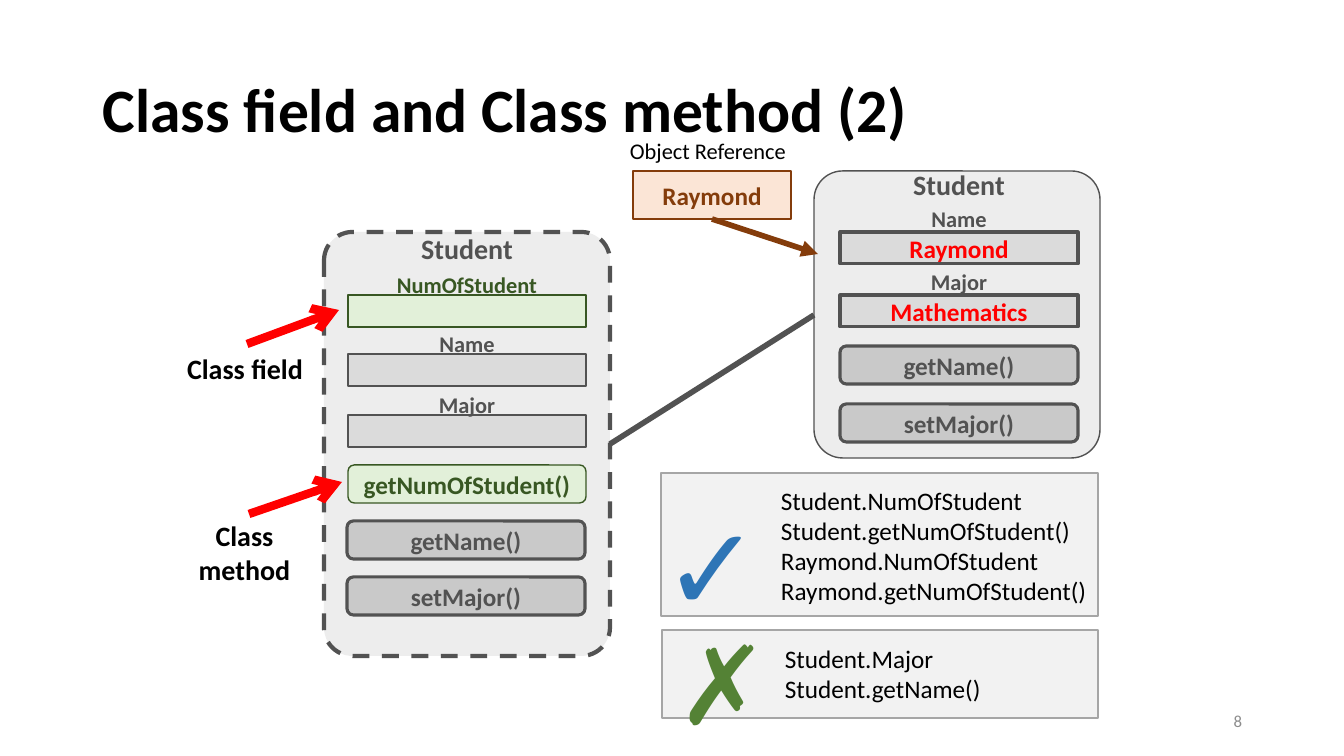
"""Build the slide on class fields and class methods."""
from lxml.etree import SubElement
from pptx import Presentation
from pptx.dml.color import RGBColor
from pptx.enum.dml import MSO_LINE
from pptx.enum.shapes import MSO_CONNECTOR, MSO_SHAPE
from pptx.enum.text import MSO_ANCHOR, PP_ALIGN
from pptx.oxml.ns import qn
from pptx.util import Pt

PIXEL = 914400 / 100.8
BLACK = RGBColor(0x00, 0x00, 0x00)
RED = RGBColor(0xFF, 0x00, 0x00)
DARK_GREY = RGBColor(0x52, 0x52, 0x52)
NUMBER_GREY = RGBColor(0x8C, 0x8C, 0x8C)
EDGE_GREY = RGBColor(0xA6, 0xA6, 0xA6)
METHOD_GREY = RGBColor(0xC9, 0xC9, 0xC9)
FIELD_GREY = RGBColor(0xDB, 0xDB, 0xDB)
CARD_GREY = RGBColor(0xED, 0xED, 0xED)
PANEL_GREY = RGBColor(0xF2, 0xF2, 0xF2)
DARK_GREEN = RGBColor(0x38, 0x57, 0x23)
PALE_GREEN = RGBColor(0xE2, 0xF0, 0xD9)
CROSS_GREEN = RGBColor(0x54, 0x82, 0x35)
TICK_BLUE = RGBColor(0x2E, 0x75, 0xB6)
BROWN = RGBColor(0x84, 0x3C, 0x0B)
PEACH = RGBColor(0xFB, 0xE5, 0xD6)
RECT, ROUND = MSO_SHAPE.RECTANGLE, MSO_SHAPE.ROUNDED_RECTANGLE
LEFT, CENTER, RIGHT = PP_ALIGN.LEFT, PP_ALIGN.CENTER, PP_ALIGN.RIGHT
TOP, MIDDLE = MSO_ANCHOR.TOP, MSO_ANCHOR.MIDDLE

deck = Presentation()
deck.slide_width, deck.slide_height = round(1344 * PIXEL), round(756 * PIXEL)
page = deck.slides.add_slide(deck.slide_layouts[6])


def add_box(kind, area, fill, edge, weight):
    """Add a filled and outlined preset shape."""
    box = page.shapes.add_shape(kind, *[round(side * PIXEL) for side in area])
    box.shadow.inherit = False
    box.fill.solid()
    box.fill.fore_color.rgb = fill
    box.line.color.rgb = edge
    box.line.width = Pt(weight)
    return box


def write(text, size, color, area=None, box=None, bold=True, align=CENTER, anchor=TOP, font="Calibri"):
    """Write into the given shape, or into a new text box over the area."""
    box = box or page.shapes.add_textbox(*[round(side * PIXEL) for side in area])
    frame = box.text_frame
    frame.word_wrap = True
    frame.vertical_anchor = anchor
    frame.text = text
    for para in frame.paragraphs:
        para.alignment = align
        for span in para.runs:
            span.font.name, span.font.size, span.font.bold = font, Pt(size), bold
            span.font.color.rgb = color
    return box


title = write("Class field and Class method (2)", 44, BLACK, (93, 40, 1159, 146), align=LEFT, anchor=MIDDLE)
title.text_frame.paragraphs[0].line_spacing = 0.9

class_card = add_box(ROUND, (324, 232, 286, 424), CARD_GREY, DARK_GREY, 3)
class_card.line.dash_style = MSO_LINE.DASH
object_card = add_box(ROUND, (814, 171, 286, 287), CARD_GREY, DARK_GREY, 1)
for card, middle, top in ((class_card, 467, 227), (object_card, 959, 163)):
    card.adjustments[0] = 0.1
    write("Student", 20, DARK_GREY, (middle - 79, top, 158, 44))

fields = [
    ("NumOfStudent", "", 467, 295, 29, PALE_GREEN, DARK_GREEN, 1),
    ("Name", "", 467, 354, 29, FIELD_GREY, DARK_GREY, 1),
    ("Major", "", 467, 415, 29, FIELD_GREY, DARK_GREY, 1),
    ("Name", "Raymond", 959, 232, 32, FIELD_GREY, DARK_GREY, 2.25),
    ("Major", "Mathematics", 959, 295, 32, FIELD_GREY, DARK_GREY, 2.25),
]
for name, value, middle, top, rise, fill, edge, weight in fields:
    field = add_box(RECT, (middle - 119, top, 238, 32), fill, edge, weight)
    if value:
        write(value, 18, RED, box=field, anchor=MIDDLE)
    write(name, 16, edge, (middle - 83, top - rise, 166, 37))

methods = [
    ("getNumOfStudent()", 467, 465, PALE_GREEN, DARK_GREEN, 1),
    ("getName()", 466, 521, METHOD_GREY, DARK_GREY, 2.25),
    ("setMajor()", 466, 577, METHOD_GREY, DARK_GREY, 2.25),
    ("getName()", 959, 346, METHOD_GREY, DARK_GREY, 2.25),
    ("setMajor()", 959, 404, METHOD_GREY, DARK_GREY, 2.25),
]
for name, middle, top, fill, edge, weight in methods:
    method = add_box(ROUND, (middle - 119, top, 238, 38), fill, edge, weight)
    write(name, 18, edge, box=method, anchor=MIDDLE)

write("Class field", 20, BLACK, (168, 347, 154, 44))
write("Class method", 20, BLACK, (168, 514, 153, 78))
write("Object Reference", 16, BLACK, (601, 132, 214, 37), bold=False)
reference = add_box(RECT, (633, 171, 158, 48), PEACH, BROWN, 1)
write("Raymond", 18, BROWN, box=reference, anchor=MIDDLE)

connectors = [
    ((247, 344, 339, 310), RED, 6, "arrow"),
    ((249, 514, 342, 482), RED, 6, "arrow"),
    ((610, 444, 814, 315), DARK_GREY, 4, None),
    ((712, 219, 818, 254), BROWN, 4, "triangle"),
]
for ends, color, weight, head in connectors:
    link = page.shapes.add_connector(MSO_CONNECTOR.STRAIGHT, *[round(end * PIXEL) for end in ends])
    link.line.color.rgb = color
    link.line.width = Pt(weight)
    if head:
        SubElement(link.line._get_or_add_ln(), qn("a:tailEnd"), type=head)
    SubElement(link._element.spPr, qn("a:effectLst"))

allowed = "Student.NumOfStudent\nStudent.getNumOfStudent()\nRaymond.NumOfStudent\nRaymond.getNumOfStudent()"
refused = "Student.Major\nStudent.getName()"
panels = [
    ((661, 473, 437, 143), allowed, (771, 480, 354, 132), "✓", TICK_BLUE, (661, 473, 143, 173)),
    ((662, 630, 436, 88), refused, (775, 638, 309, 72), "✗", CROSS_GREEN, (672, 585, 143, 173)),
]
for panel_area, calls, calls_area, mark, mark_color, mark_area in panels:
    add_box(RECT, panel_area, PANEL_GREY, EDGE_GREY, 1)
    write(calls, 18, BLACK, calls_area, bold=False, align=LEFT)
    write(mark, 96, mark_color, mark_area, bold=False, align=LEFT, font="Courier New")

write("8", 12, NUMBER_GREY, (950, 701, 302, 40), bold=False, align=RIGHT, anchor=MIDDLE)

deck.save("out.pptx")
